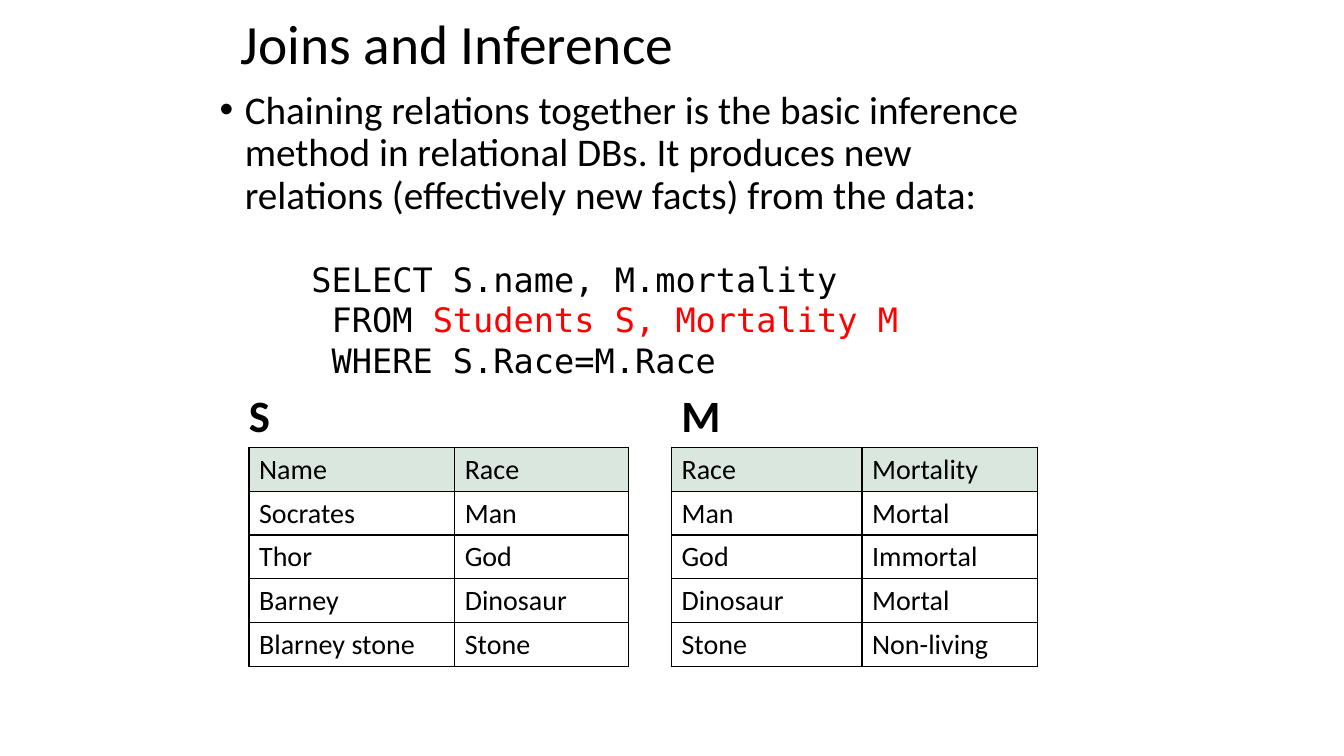
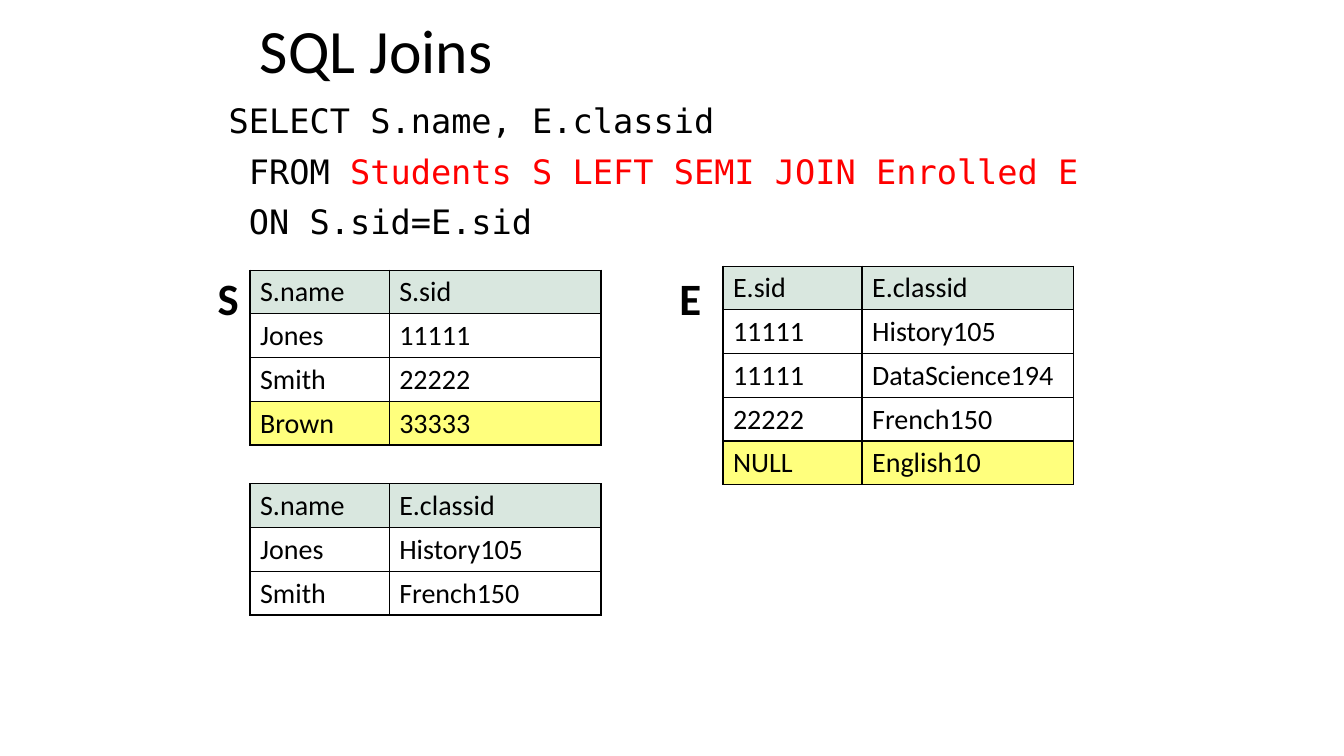
from dataclasses import dataclass

from lxml.etree import SubElement
from pptx import Presentation
from pptx.dml.color import RGBColor
from pptx.enum.text import MSO_ANCHOR
from pptx.oxml.ns import qn
from pptx.util import Pt


@dataclass(frozen=True)
class Theme:
    ink: str = "000000"
    accent: str = "FF0000"
    header: str = "D9E7DF"
    plain: str = "FFFFFF"
    marked: str = "FFFF7D"
    sans: str = "Calibri"
    mono: str = "DejaVu Sans Mono"
    body_size: float = 28
    code_size: float = 24
    cell_size: float = 20
    label_size: float = 32
    line_spacing: float = 0.9
    paragraph_gap: float = 10
    border: float = 1


THEME = Theme()
PX = 9144
SLIDE_SIZE = (1333, 750)
ROW_HEIGHT = 43
BULLET_INDENT = 25
JOIN_COLUMNS = (138, 210)

PAGES = [
    {
        "title": ("Joins and Inference", (229, 9, 888, 74), 39.6),
        "bullet": (
            "Chaining relations together is the basic inference method in relational DBs. "
            "It produces new relations (effectively new facts) from the data:",
            (208, 85, 850, 150),
        ),
        "code": {
            "place": (299, 252, 610, 131),
            "spaced": False,
            "lines": [
                ("SELECT S.name, M.mortality", ""),
                (" FROM ", "Students S, Mortality M"),
                (" WHERE S.Race=M.Race", ""),
            ],
        },
        "labels": [("S", (237, 380, 41, 64)), ("M", (666, 380, 59, 64))],
        "tables": [
            {
                "corner": (247, 444),
                "columns": (204, 172),
                "rows": [
                    ("Name", "Race"),
                    ("Socrates", "Man"),
                    ("Thor", "God"),
                    ("Barney", "Dinosaur"),
                    ("Blarney stone", "Stone"),
                ],
                "marked": (),
            },
            {
                "corner": (666, 444),
                "columns": (189, 174),
                "rows": [
                    ("Race", "Mortality"),
                    ("Man", "Mortal"),
                    ("God", "Immortal"),
                    ("Dinosaur", "Mortal"),
                    ("Stone", "Non-living"),
                ],
                "marked": (),
            },
        ],
    },
    {
        "title": ("SQL Joins", (248, 8, 848, 91), 44),
        "code": {
            "place": (217, 99, 919, 150),
            "spaced": True,
            "lines": [
                ("SELECT S.name, E.classid", ""),
                (" FROM ", "Students S LEFT SEMI JOIN Enrolled E"),
                (" ON S.sid=E.sid", ""),
            ],
        },
        "labels": [("S", (206, 264, 41, 64)), ("E", (664, 264, 42, 64))],
        "tables": [
            {
                "corner": (248, 268),
                "columns": JOIN_COLUMNS,
                "rows": [
                    ("S.name", "S.sid"),
                    ("Jones", "11111"),
                    ("Smith", "22222"),
                    ("Brown", "33333"),
                ],
                "marked": (3,),
            },
            {
                "corner": (717, 264),
                "columns": JOIN_COLUMNS,
                "rows": [
                    ("E.sid", "E.classid"),
                    ("11111", "History105"),
                    ("11111", "DataScience194"),
                    ("22222", "French150"),
                    ("NULL", "English10"),
                ],
                "marked": (4,),
            },
            {
                "corner": (248, 480),
                "columns": JOIN_COLUMNS,
                "rows": [
                    ("S.name", "E.classid"),
                    ("Jones", "History105"),
                    ("Smith", "French150"),
                ],
                "marked": (),
            },
        ],
    },
]


def emu(lengths):
    return [length * PX for length in lengths]


def style(para, size, name=THEME.sans, bold=False):
    para.font.name = name
    para.font.size = Pt(size)
    para.font.bold = bold
    para.font.color.rgb = RGBColor.from_string(THEME.ink)


def add_box(page, place):
    box = page.shapes.add_textbox(*emu(place))
    box.text_frame.word_wrap = True
    return box.text_frame


def add_text(page, text, place, size, bold=False):
    frame = add_box(page, place)
    para = frame.paragraphs[0]
    para.text = text
    style(para, size, bold=bold)
    return frame


def add_title(page, text, place, size):
    frame = add_text(page, text, place, size)
    frame.vertical_anchor = MSO_ANCHOR.MIDDLE
    frame.paragraphs[0].line_spacing = THEME.line_spacing


def add_bullet(page, text, place):
    para = add_text(page, text, place, THEME.body_size).paragraphs[0]
    para.line_spacing = THEME.line_spacing
    properties = para._p.get_or_add_pPr()
    properties.set("marL", str(BULLET_INDENT * PX))
    properties.set("indent", str(-BULLET_INDENT * PX))
    SubElement(properties, qn("a:buFont"), typeface="Arial")
    SubElement(properties, qn("a:buChar"), char="•")


def add_code(page, place, lines, spaced):
    frame = add_box(page, place)
    for index, (plain, accented) in enumerate(lines):
        para = frame.add_paragraph() if index else frame.paragraphs[0]
        style(para, THEME.code_size, THEME.mono)
        if spaced:
            para.line_spacing = THEME.line_spacing
            para.space_before = Pt(THEME.paragraph_gap)
        para.add_run().text = plain
        if accented:
            span = para.add_run()
            span.text = accented
            span.font.color.rgb = RGBColor.from_string(THEME.accent)


def add_borders(cell):
    properties = cell._tc.get_or_add_tcPr()
    for side in ("lnL", "lnR", "lnT", "lnB"):
        line = SubElement(properties, qn(f"a:{side}"), w=str(Pt(THEME.border)))
        fill = SubElement(line, qn("a:solidFill"))
        SubElement(fill, qn("a:srgbClr"), val=THEME.ink)


def add_relation(page, corner, columns, rows, marked):
    size = (sum(columns), ROW_HEIGHT * len(rows))
    table = page.shapes.add_table(len(rows), len(columns), *emu(corner + size)).table
    table.first_row = False
    table.horz_banding = False
    for column, width in zip(table.columns, columns):
        column.width = width * PX
    for row_index, values in enumerate(rows):
        if row_index == 0:
            colour = THEME.header
        else:
            colour = THEME.marked if row_index in marked else THEME.plain
        for column_index, value in enumerate(values):
            cell = table.cell(row_index, column_index)
            cell.text = value
            style(cell.text_frame.paragraphs[0], THEME.cell_size)
            add_borders(cell)
            cell.fill.solid()
            cell.fill.fore_color.rgb = RGBColor.from_string(colour)


def main():
    deck = Presentation()
    deck.slide_width, deck.slide_height = emu(SLIDE_SIZE)
    for content in PAGES:
        page = deck.slides.add_slide(deck.slide_layouts[6])
        add_title(page, *content["title"])
        if "bullet" in content:
            add_bullet(page, *content["bullet"])
        add_code(page, **content["code"])
        for relation in content["tables"]:
            add_relation(page, **relation)
        for text, place in content["labels"]:
            add_text(page, text, place, THEME.label_size, bold=True)
    deck.save("out.pptx")


if __name__ == "__main__":
    main()
